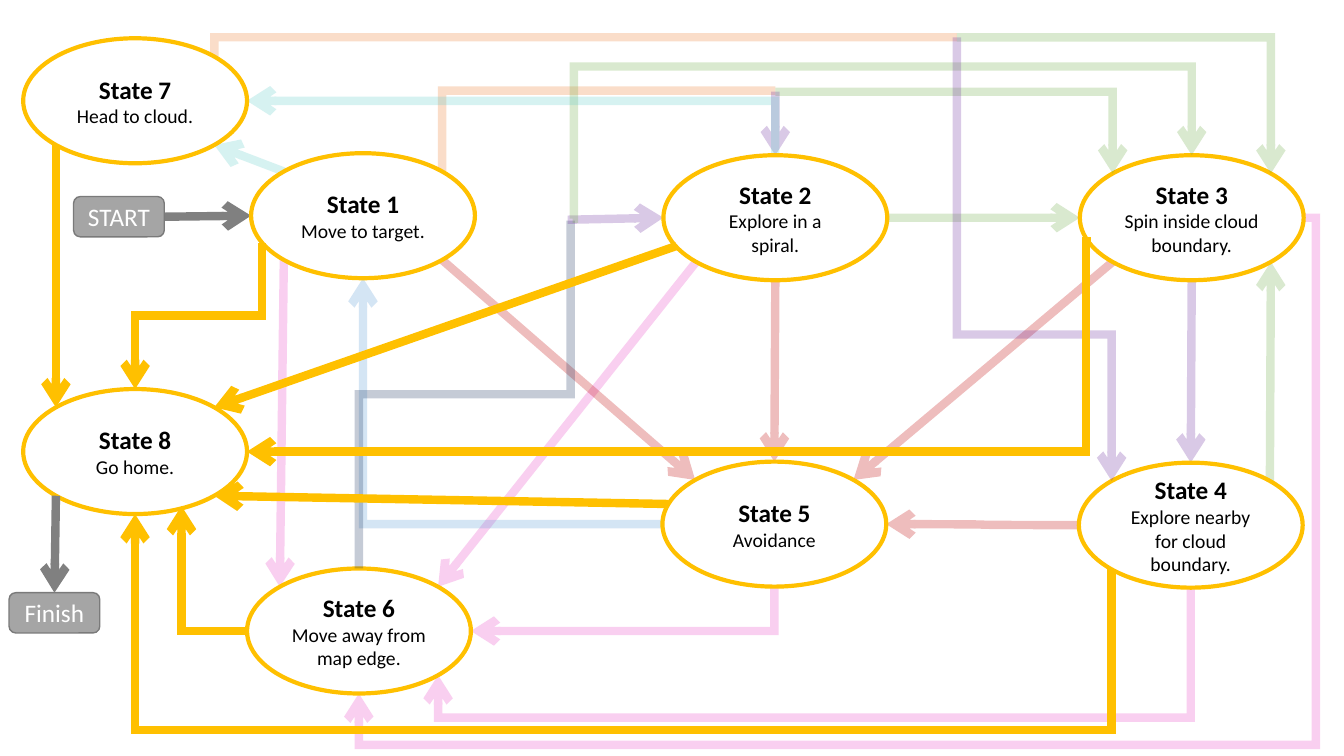
"""Build a state diagram slide with connectors glued to its states."""
from math import cos, pi, sin

from lxml import etree
from pptx import Presentation
from pptx.dml.color import RGBColor
from pptx.enum.shapes import MSO_CONNECTOR, MSO_SHAPE
from pptx.enum.text import MSO_ANCHOR, PP_ALIGN
from pptx.oxml.ns import qn
from pptx.util import Pt

PX = 9144
OVAL, BOX = MSO_SHAPE.OVAL, MSO_SHAPE.ROUNDED_RECTANGLE
STRAIGHT, ELBOW, CURVE = MSO_CONNECTOR.STRAIGHT, MSO_CONNECTOR.ELBOW, MSO_CONNECTOR.CURVE
MIDDLE, CENTER = MSO_ANCHOR.MIDDLE, PP_ALIGN.CENTER

BLACK = RGBColor(0x00, 0x00, 0x00)
WHITE = RGBColor(0xFF, 0xFF, 0xFF)
AMBER = RGBColor(0xFF, 0xC0, 0x00)
GRAY = RGBColor(0x80, 0x80, 0x80)
BOX_FILL = RGBColor(0xA5, 0xA5, 0xA5)
BOX_LINE = RGBColor(0x7A, 0x7A, 0x7A)
PINK = RGBColor(0xE9, 0x47, 0xC6)
PURPLE = RGBColor(0x70, 0x30, 0xA0)
GREEN = RGBColor(0x70, 0xAD, 0x47)
RED = RGBColor(0xC0, 0x00, 0x00)
BLUE = RGBColor(0x5B, 0x9B, 0xD5)
ORANGE = RGBColor(0xED, 0x7D, 0x31)
NAVY = RGBColor(0x20, 0x38, 0x64)
TEAL = RGBColor(0x63, 0xCD, 0xCA)
OPAQUE = (AMBER, GRAY)
HEADLESS = (ORANGE, NAVY)

TOP, TOP_LEFT, LEFT, LOW_LEFT, BOTTOM, LOW_RIGHT, RIGHT, TOP_RIGHT = range(8)
BOX_TOP, BOX_RIGHT = 0, 3
ACROSS, DOWN = "across", "down"
S1, S2, S3, S4, S5, S6, S7, S8 = (f"State {n}" for n in range(1, 9))
START, FINISH = "START", "Finish"

STATES = {
    S1: (249, 152, "Move to target."),
    S2: (658, 154, "Explore in a spiral."),
    S3: (1071, 154, "Spin inside cloud boundary."),
    S4: (1070, 459, "Explore nearby for cloud boundary."),
    S5: (657, 458, "Avoidance"),
    S6: (245, 564, "Move away from map edge."),
    S7: (23, 38, "Head to cloud."),
    S8: (23, 386, "Go home."),
}
BOXES = {START: (73, 195), FINISH: (9, 588)}

# Layers run from back to front: a node name, or (colour, from, to, first leg, turns).
LAYERS = [
    S8,
    (PINK, (S2, LOW_LEFT), (S6, TOP_RIGHT)),
    (GRAY, (START, BOX_RIGHT), (S1, LEFT)),
    START,
    (PURPLE, (S3, BOTTOM), (S4, TOP)),
    (GREEN, (S4, TOP_RIGHT), (S3, LOW_RIGHT)),
    (RED, (S1, LOW_RIGHT), (S5, TOP_LEFT)),
    (PINK, (S1, LOW_LEFT), (S6, TOP_LEFT)),
    (RED, (S4, LEFT), (S5, RIGHT), CURVE),
    (RED, (S3, LOW_LEFT), (S5, TOP_RIGHT)),
    (RED, (S2, BOTTOM), (S5, TOP)),
    (GREEN, (S2, RIGHT), (S3, LEFT)),
    (PINK, (S3, RIGHT), (S6, BOTTOM), ACROSS, 1305, 739),
    (PINK, (S4, BOTTOM), (S6, LOW_RIGHT), DOWN, 712),
    (PINK, (S5, BOTTOM), (S6, RIGHT), DOWN),
    (BLUE, (S5, LEFT), (S1, BOTTOM), ACROSS),
    S3, S4, S5, S6,
    (ORANGE, (S1, TOP_RIGHT), (769, 90), DOWN),
    (GREEN, (769, 91), (S3, TOP_LEFT), ACROSS),
    (PURPLE, (769, 91), (S2, TOP)),
    (NAVY, (S6, TOP), (566, 219), DOWN, 391),
    (PURPLE, (563, 218), (S2, LEFT)),
    (GREEN, (568, 217), (S3, TOP), ACROSS, 569, 66),
    (TEAL, (S2, TOP), (S7, RIGHT), DOWN),
    (TEAL, (S1, TOP_LEFT), (S7, LOW_RIGHT)),
    (GREEN, (949, 37), (S3, TOP_RIGHT), ACROSS),
    S2, S1,
    (ORANGE, (S7, TOP_RIGHT), (949, 37), DOWN),
    S7,
    (PURPLE, (949, 37), (S4, TOP_LEFT), DOWN, 332),
    (AMBER, (S7, LOW_LEFT), (S8, TOP_LEFT)),
    (AMBER, (671, 244), (S8, TOP_RIGHT)),
    (AMBER, (260, 241), (S8, TOP), DOWN, 313),
    (AMBER, (663, 500), (S8, LOW_RIGHT)),
    (AMBER, (1082, 239), (S8, RIGHT), ACROSS, 1077),
    (AMBER, (S6, LEFT), (S8, LOW_RIGHT), ACROSS),
    (AMBER, (S4, LOW_LEFT), (S8, BOTTOM), DOWN, 724),
    FINISH,
    (GRAY, (S8, LOW_LEFT), (FINISH, BOX_TOP)),
]
LAYERS[-4] = (AMBER, (S6, LEFT), (180, 502), ACROSS)

# Rotation and flips by first leg, heading right, heading down.
TURNS = {
    (ACROSS, True, True): (0, 0, 0), (ACROSS, False, True): (0, 1, 0),
    (ACROSS, True, False): (0, 0, 1), (ACROSS, False, False): (180, 0, 0),
    (DOWN, True, True): (270, 1, 0), (DOWN, False, True): (90, 0, 0),
    (DOWN, True, False): (90, 1, 1), (DOWN, False, False): (90, 1, 0),
}


def node_box(name):
    """Return left, top, width and height of a node."""
    return (*STATES[name][:2], 222, 124) if name in STATES else (*BOXES[name], 90, 40)


def locate(end):
    """Return the point of a free end or of a connection site."""
    if end[0] not in STATES and end[0] not in BOXES:
        return end
    name, site = end
    x, y, w, h = node_box(name)
    angle = site * 2 * pi / (8 if name in STATES else 4)
    return x + w / 2 * (1 - sin(angle)), y + h / 2 * (1 - cos(angle))


def add_text(p, text, color, **fmt):
    """Write one centred run into a paragraph."""
    p.alignment = CENTER
    r = p.add_run()
    r.text = text
    r.font.color.rgb = color
    for key, value in {"name": "Calibri", **fmt}.items():
        setattr(r.font, key, value)


def add_node(s, name):
    """Add a state ellipse or a terminal box."""
    is_state = name in STATES
    sp = s.shapes.add_shape(OVAL if is_state else BOX, *(v * PX for v in node_box(name)))
    sp.shadow.inherit = False
    sp.line.color.rgb = AMBER if is_state else BOX_LINE
    sp.line.width = Pt(3 if is_state else 1)
    tf = sp.text_frame
    for key, value in {"word_wrap": True, "vertical_anchor": MIDDLE}.items():
        setattr(tf, key, value)
    add_text(tf.paragraphs[0], name, BLACK if is_state else WHITE, size=Pt(18), bold=is_state)
    if is_state:
        sp.fill.background()
        add_text(tf.add_paragraph(), STATES[name][2], BLACK, size=Pt(14), bold=False)
    else:
        sp.fill.solid()
        sp.fill.fore_color.rgb = BOX_FILL
    return sp


def bend(cxn, start, end, leg, turns):
    """Shape an elbow connector from its first leg and turning coordinates."""
    dx, dy = end[0] - start[0], end[1] - start[1]
    rot, flip_h, flip_v = TURNS[leg, dx > 0, dy > 0]
    w, h = (abs(dy), abs(dx)) if leg == DOWN else (abs(dx), abs(dy))
    frame = {"left": (start[0] + end[0] - w) / 2, "top": (start[1] + end[1] - h) / 2,
             "width": w, "height": h}
    for key, value in frame.items():
        setattr(cxn, key, round(value * PX))
    xfrm = cxn._element.spPr.find(qn("a:xfrm"))
    for key, value in {"rot": rot * 60000, "flipH": flip_h, "flipV": flip_v}.items():
        xfrm.set(key, str(value))
    geom = cxn._element.spPr.find(qn("a:prstGeom"))
    geom.set("prst", f"bentConnector{len(turns) + 2}")
    guides = geom.find(qn("a:avLst"))
    axes = (1, 0) if leg == DOWN else (0, 1)
    for n, (turn, axis) in enumerate(zip(turns, axes), 1):
        adj = round((turn - start[axis]) / (end[axis] - start[axis]) * 100000)
        name = "adj1" if len(turns) == 1 else f"adj{n}"
        etree.SubElement(guides, qn("a:gd"), name=name, fmla=f"val {adj}")


def add_link(s, color, start, end, leg=STRAIGHT, *turns):
    """Add a thick connector between two ends."""
    a, b = locate(start), locate(end)
    kind = ELBOW if leg in (ACROSS, DOWN) else leg
    cxn = s.shapes.add_connector(kind, *(round(v * PX) for v in (*a, *b)))
    if kind == ELBOW:
        bend(cxn, a, b, leg, turns)
    cxn.line.color.rgb = color
    cxn.line.width = Pt(6)
    ln = cxn.line._ln
    if color not in OPAQUE:
        etree.SubElement(ln.find(".//" + qn("a:srgbClr")), qn("a:alpha"), val="25000")
    etree.SubElement(ln, qn("a:miter"), lim="800000")
    if color not in HEADLESS:
        etree.SubElement(ln, qn("a:tailEnd"), type="arrow")
    etree.SubElement(cxn._element.spPr, qn("a:effectLst"))
    return cxn


def glue(cxn, ends, nodes):
    """Attach the ends of a connector to the nodes they name."""
    props = cxn._element.nvCxnSpPr.cNvCxnSpPr
    for tag, (name, site) in zip(("a:stCxn", "a:endCxn"), ends):
        if name in nodes:
            etree.SubElement(props, qn(tag), id=str(nodes[name].shape_id), idx=str(site))


def main():
    """Draw all layers and save the deck."""
    prs = Presentation()
    prs.slide_width, prs.slide_height = 1333 * PX, 750 * PX
    s = prs.slides.add_slide(prs.slide_layouts[6])
    nodes, links = {}, []
    for layer in LAYERS:
        if isinstance(layer, str):
            nodes[layer] = add_node(s, layer)
        else:
            links.append((add_link(s, *layer), layer[1:3]))
    for cxn, ends in links:
        glue(cxn, ends, nodes)
    prs.save("out.pptx")


if __name__ == "__main__":
    main()
